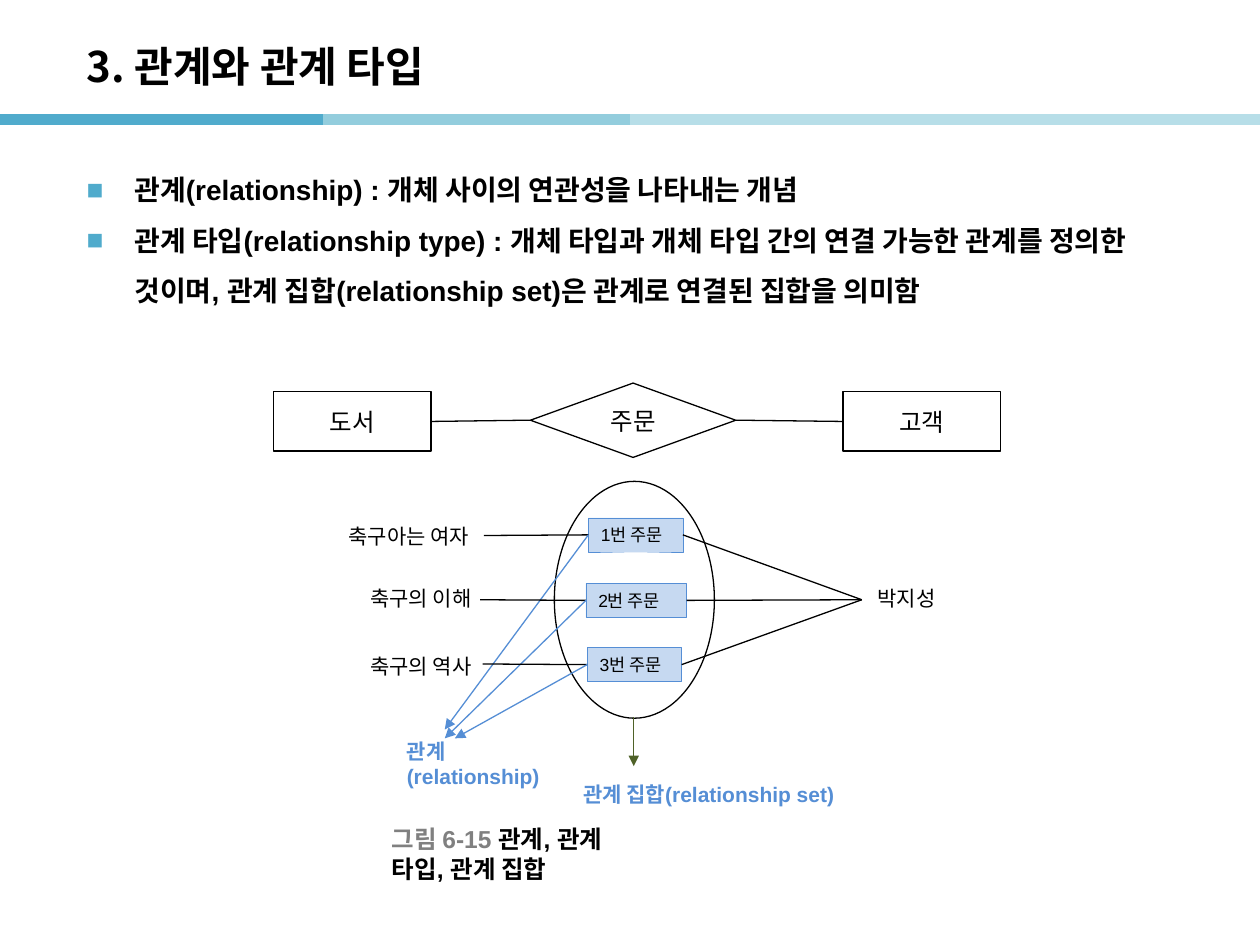
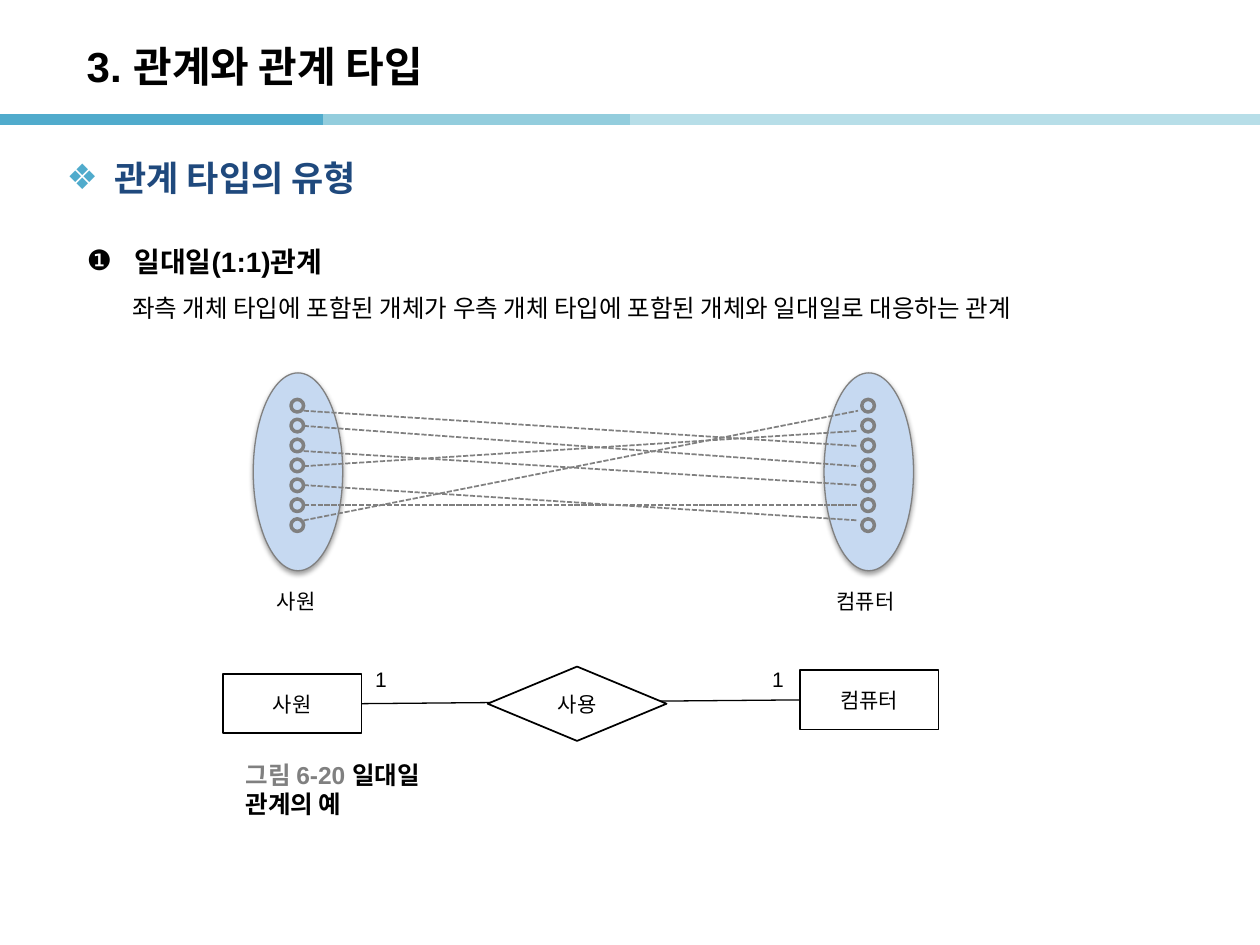
from lxml import etree
from pptx import Presentation
from pptx.dml.color import RGBColor
from pptx.enum.dml import MSO_LINE
from pptx.enum.shapes import MSO_CONNECTOR, MSO_SHAPE
from pptx.enum.text import MSO_ANCHOR, PP_ALIGN
from pptx.oxml.ns import qn
from pptx.util import Inches, Pt

RECT, OVAL, DIAMOND = MSO_SHAPE.RECTANGLE, MSO_SHAPE.OVAL, MSO_SHAPE.DIAMOND
DECISION, DOT = MSO_SHAPE.FLOWCHART_DECISION, MSO_SHAPE.FLOWCHART_CONNECTOR
STRAIGHT, DASH = MSO_CONNECTOR.STRAIGHT, MSO_LINE.SQUARE_DOT
TOP, MIDDLE = MSO_ANCHOR.TOP, MSO_ANCHOR.MIDDLE
LEFT, CENTER = PP_ALIGN.LEFT, PP_ALIGN.CENTER
LEFT_SIDE, RIGHT_SIDE = 1, 3

LATIN, HANGUL = "Arial", "Noto Sans CJK KR"
BLACK, WHITE, GRAY = "000000", "FFFFFF", "808080"
TEAL, PALE_BLUE, BLUE, NAVY = "50ABCC", "C6D9F1", "558ED5", "1F497D"
OLIVE = "4F6228"
BAND = [(0, 2.56, TEAL), (2.56, 5.12, "93CDDD"), (5, 7.56, "B7DEE8"), (7.46, 10.02, "B7DEE8")]
TITLE = "3. 관계와 관계 타입"


def rgb(color):
    return RGBColor.from_string(color)


def add_child(parent, tag, **attributes):
    child = etree.SubElement(parent, qn(tag))
    for key, value in attributes.items():
        child.set(key, str(value))
    return child


def set_font(paragraph, size, color=BLACK, bold=False, name=LATIN):
    font = paragraph.font
    font.size, font.bold, font.name = Pt(size), bold, name
    font.color.rgb = rgb(color)
    defaults = paragraph._p.get_or_add_pPr().find(qn("a:defRPr"))
    defaults.find(qn("a:latin")).addnext(etree.Element(qn("a:ea"), typeface=HANGUL))


def set_indent(paragraph, margin, hanging=0, mark=None, mark_color=BLACK):
    props = paragraph._p.get_or_add_pPr()
    props.set("marL", str(Inches(margin)))
    props.set("indent", str(-Inches(hanging)))
    if mark:
        add_child(add_child(props, "a:buClr"), "a:srgbClr", val=mark_color)
        add_child(props, "a:buFont", typeface=LATIN)
        add_child(props, "a:buChar", char=mark)


def set_text(shape, text, size, color=BLACK, bold=False, name=LATIN,
             align=LEFT, anchor=TOP, wrap=True):
    frame = shape.text_frame
    frame.word_wrap, frame.vertical_anchor = wrap, anchor
    paragraph = frame.paragraphs[0]
    paragraph.text, paragraph.alignment = text, align
    set_font(paragraph, size, color, bold, name)


def add_box(slide, box):
    return slide.shapes.add_textbox(*map(Inches, box))


def add_label(slide, box, text, size=12, **style):
    set_text(add_box(slide, box), text, size, **style)


def add_figure(slide, kind, box, fill=WHITE, line=BLACK, width=0.75):
    shape = slide.shapes.add_shape(kind, *map(Inches, box))
    shape.shadow.inherit = False
    shape.fill.solid()
    shape.fill.fore_color.rgb = rgb(fill)
    shape.line.color.rgb = rgb(line)
    shape.line.width = Pt(width)
    return shape


def add_node(slide, kind, box, text, size, width=0.75):
    node = add_figure(slide, kind, box, width=width)
    set_text(node, text, size, align=CENTER, anchor=MIDDLE)
    return node


def add_line(slide, start, end, color=BLACK, width=0.75, dash=None, arrow=False):
    points = [end_point if isinstance(end_point[0], (int, float)) else (0, 0)
              for end_point in (start, end)]
    line = slide.shapes.add_connector(STRAIGHT, *[Inches(v) for point in points for v in point])
    if points[0] != start:
        line.begin_connect(*start)
    if points[1] != end:
        line.end_connect(*end)
    line.line.color.rgb = rgb(color)
    line.line.width = Pt(width)
    if dash:
        line.line.dash_style = dash
    if arrow:
        add_child(line.line._get_or_add_ln(), "a:tailEnd", type="triangle")
    add_child(line._element.spPr, "a:effectLst")


def add_base(prs, title_font):
    slide = prs.slides.add_slide(prs.slide_layouts[6])
    for left, right, color in BAND:
        add_line(slide, (left, 0.95), (right, 0.95), color, 6)
    add_label(slide, (0.59, 0.22, 8.27, 0.6), TITLE, 24, bold=True, name=title_font, anchor=MIDDLE)
    return slide


def add_caption(slide, left, top, number, title):
    frame = add_box(slide, (left, top, 2.05, 0.31)).text_frame
    frame.word_wrap, frame.vertical_anchor = False, MIDDLE
    paragraph = frame.paragraphs[0]
    for text, color in ((f"그림 {number} ", GRAY), (title, BLACK)):
        run = paragraph.add_run()
        run.text = text
        run.font.color.rgb = rgb(color)
    set_font(paragraph, 14, bold=True)


def add_body(slide, box, items, spacing=1.5):
    frame = add_box(slide, box).text_frame
    frame.word_wrap = True
    for index, (text, indent, style) in enumerate(items):
        paragraph = frame.add_paragraph() if index else frame.paragraphs[0]
        paragraph.text, paragraph.line_spacing = text, spacing
        set_indent(paragraph, *indent)
        set_font(paragraph, **style)


def add_entity_set(slide, left, name, name_left, name_width):
    entity_set = add_figure(slide, OVAL, (left, 2.96, 0.71, 1.57), PALE_BLUE, GRAY)
    effects = entity_set._element.spPr.find(qn("a:effectLst"))
    shadow = add_child(effects, "a:outerShdw", blurRad=Pt(3.1), dist=Pt(1.6),
                       dir=5400000, rotWithShape=0)
    add_child(add_child(shadow, "a:srgbClr", val=BLACK), "a:alpha", val=38000)
    for row in range(7):
        add_figure(slide, DOT, (left + 0.3, 3.17 + row * 0.158, 0.1, 0.1), PALE_BLUE, GRAY, 2)
    add_label(slide, (name_left, 4.62, name_width, 0.3), name, wrap=False)


def build_relationship_slide(prs):
    slide = add_base(prs, HANGUL)
    bullet = (0.38, 0.38, "■", TEAL)
    bold = {"size": 16, "bold": True}
    add_body(slide, (0.59, 1.19, 8.74, 5.98), [
        ("관계(relationship) : 개체 사이의 연관성을 나타내는 개념", bullet, bold),
        ("관계 타입(relationship type) : 개체 타입과 개체 타입 간의 연결 가능한 관계를 정의한 "
         "것이며, 관계 집합(relationship set)은 관계로 연결된 집합을 의미함", bullet, bold),
    ])

    order_type = add_node(slide, DIAMOND, (4.21, 3.04, 1.63, 0.59), "주문", 14)
    book = add_node(slide, RECT, (2.17, 3.11, 1.25, 0.47), "도서", 14)
    customer = add_node(slide, RECT, (6.69, 3.11, 1.25, 0.47), "고객", 14)
    add_line(slide, (book, RIGHT_SIDE), (order_type, LEFT_SIDE))
    add_line(slide, (order_type, RIGHT_SIDE), (customer, LEFT_SIDE))

    add_figure(slide, OVAL, (4.4, 3.82, 1.27, 1.88))
    add_label(slide, (6.84, 4.6, 0.71, 0.3), "박지성", align=CENTER, wrap=False)
    orders = [
        ("축구아는 여자", (2.61, 4.11, 1.27, 0.3), (3.84, 4.25), (4.67, 4.11, 0.75, 0.27), (3.53, 5.79)),
        ("축구의 이해", (2.67, 4.6, 1.34, 0.3), (3.81, 4.76), (4.65, 4.63, 0.8, 0.27), (3.53, 5.86)),
        ("축구의 역사", (2.67, 5.14, 1.34, 0.3), (3.83, 5.27), (4.66, 5.14, 0.75, 0.27), (3.61, 5.86)),
    ]
    for number, (book_title, title_box, title_end, order_box, arrow_tip) in enumerate(orders, 1):
        add_label(slide, title_box, book_title, align=CENTER)
        order = add_figure(slide, RECT, order_box, PALE_BLUE, BLUE, 0.25)
        set_text(order, f"{number}번 주문", 10, wrap=False)
        add_line(slide, title_end, (order, LEFT_SIDE))
        add_line(slide, (order, RIGHT_SIDE), (6.84, 4.76))
        add_line(slide, (order, LEFT_SIDE), arrow_tip, BLUE, arrow=True)

    add_line(slide, (5.03, 5.69), (5.03, 6.08), OLIVE, arrow=True)
    add_label(slide, (3.13, 5.81, 1.35, 0.5), "관계(relationship)", color=BLUE, bold=True)
    add_label(slide, (4.53, 6.15, 2.35, 0.3), "관계 집합(relationship set)",
              color=BLUE, bold=True, wrap=False)
    add_caption(slide, 3.01, 6.62, "6-15", "관계, 관계 타입, 관계 집합")


def build_one_to_one_slide(prs):
    slide = add_base(prs, LATIN)
    add_body(slide, (0.43, 1.19, 8.82, 0.62), [
        ("관계 타입의 유형", (0.38, 0.38, "❖", TEAL), {"size": 20, "bold": True, "color": NAVY}),
    ], spacing=1)
    add_body(slide, (0.59, 1.76, 8.82, 0.97), [
        ("일대일(1:1)관계", (0.38, 0.38, "❶"), {"size": 16, "bold": True}),
        ("좌측 개체 타입에 포함된 개체가 우측 개체 타입에 포함된 개체와 일대일로 대응하는 관계",
         (0.36,), {"size": 14}),
    ])

    add_entity_set(slide, 2.01, "사원", 2.1, 0.54)
    add_entity_set(slide, 6.54, "컴퓨터", 6.54, 0.71)
    employee_ends = [3.26, 3.38, 3.58, 3.7, 3.85, 4.01, 4.13]
    computer_ends = [3.26, 3.42, 3.54, 3.7, 3.85, 4.01, 4.13]
    computer_of_employee = [2, 3, 4, 1, 6, 5, 0]
    for employee_end, computer in zip(employee_ends, computer_of_employee):
        add_line(slide, (2.41, employee_end), (6.81, computer_ends[computer]), GRAY, 1, DASH)

    employee = add_node(slide, RECT, (1.77, 5.35, 1.1, 0.47), "사원", 12, 1)
    computer = add_node(slide, RECT, (6.35, 5.32, 1.1, 0.47), "컴퓨터", 12, 1)
    add_line(slide, (employee, RIGHT_SIDE), (computer, LEFT_SIDE))
    add_node(slide, DECISION, (3.87, 5.29, 1.42, 0.59), "사용", 12, 1)
    for left in (2.88, 6.03):
        add_label(slide, (left, 5.24, 0.3, 0.3), "1", wrap=False)
    add_caption(slide, 1.85, 6.11, "6-20", "일대일 관계의 예")


def main():
    prs = Presentation()
    prs.slide_width, prs.slide_height = Inches(10), Inches(7.5)
    build_relationship_slide(prs)
    build_one_to_one_slide(prs)
    prs.save("out.pptx")


if __name__ == "__main__":
    main()
